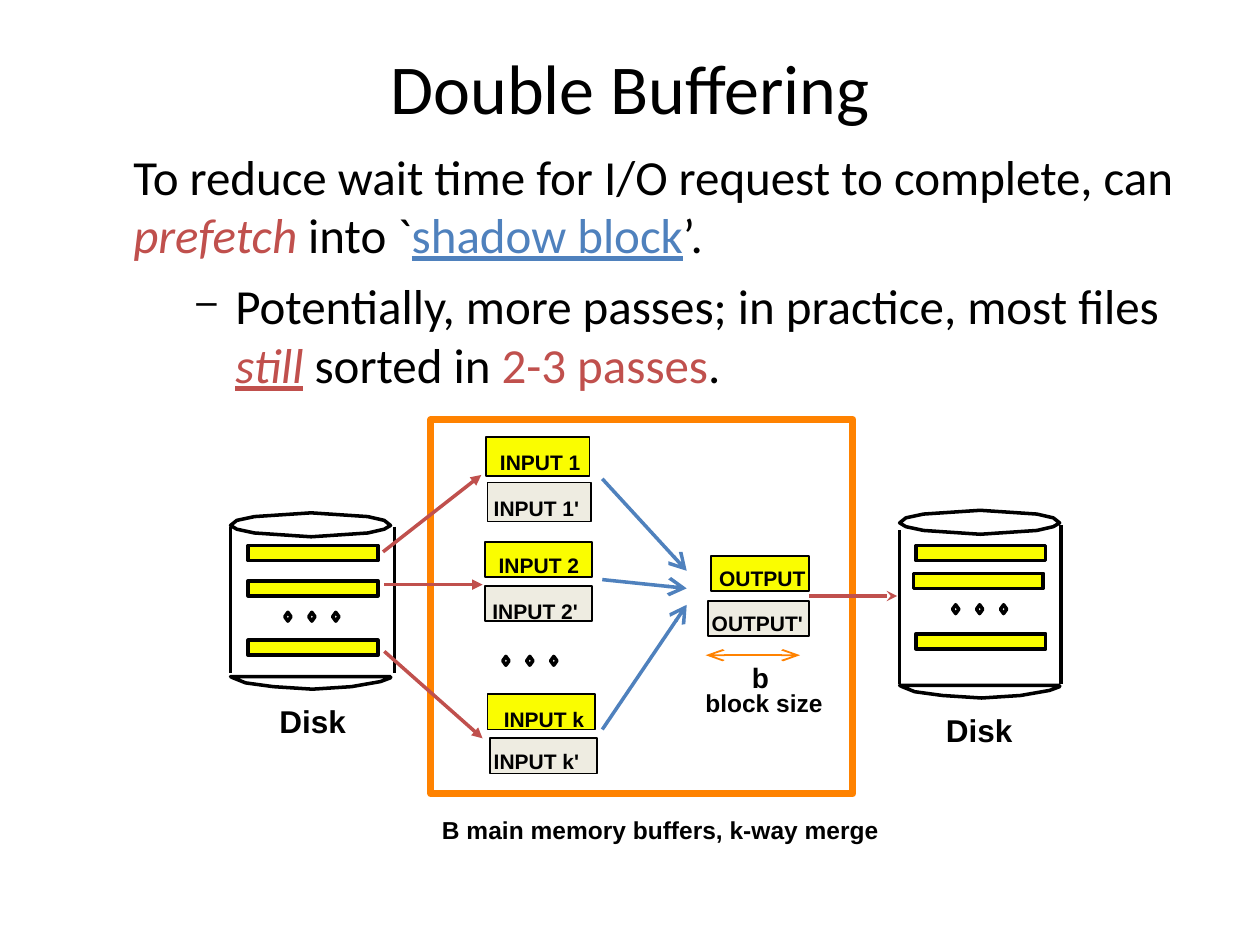
import pptx
import pptx.dml.color
import pptx.enum.shapes
import pptx.enum.text
import pptx.oxml
import pptx.oxml.ns
import pptx.util
from dataclasses import dataclass
from pptx.util import Inches


@dataclass(frozen=True)
class Theme:
    black: str = "000000"
    red: str = "C0504D"
    blue: str = "4F81BD"
    orange: str = "FF8200"
    yellow: str = "FAFD00"
    grey: str = "EEECE1"
    body_font: str = "Calibri"
    label_font: str = "Arial"
    title: int = 40
    body: int = 28
    disk: int = 18
    symbol: int = 16
    note: int = 14
    buffer: int = 12
    thin: int = 1
    medium: int = 2
    thick: int = 4


T = Theme()
RED_ITALIC = {"color": T.red, "italic": True}
TITLE = [("Double Buffering", {})]
INTRO = [
    ("To reduce wait time for I/O request to complete, can ", {}),
    ("prefetch", RED_ITALIC),
    (" into `", {}),
    ("shadow block", {"color": T.blue, "underline": True}),
    ("’.", {}),
]
POINT = [
    ("Potentially, more passes; in practice, most files ", {}),
    ("still", {**RED_ITALIC, "underline": True}),
    (" sorted in ", {}),
    ("2-3 passes", {"color": T.red}),
    (".", {}),
]
FRAME = (3.42, 3.33, 3.35, 2.97)
BUFFERS = [
    ("INPUT 1", T.yellow, (3.86, 3.47, 0.82, 0.31), (3.87, 3.52, 0.84)),
    ("INPUT 1'", T.grey, (3.87, 3.83, 0.82, 0.31), (3.82, 3.88, 0.88)),
    ("INPUT 2", T.yellow, (3.85, 4.3, 0.85, 0.28), (3.86, 4.34, 0.84)),
    ("INPUT 2'", T.grey, (3.85, 4.65, 0.85, 0.28), (3.81, 4.7, 0.88)),
    ("INPUT k", T.yellow, (3.87, 5.51, 0.85, 0.28), (3.9, 5.56, 0.84)),
    ("INPUT k'", T.grey, (3.89, 5.86, 0.85, 0.28), (3.82, 5.89, 0.88)),
    ("OUTPUT", T.yellow, (5.64, 4.41, 0.78, 0.28), (5.61, 4.44, 0.9)),
    ("OUTPUT'", T.grey, (5.62, 4.77, 0.8, 0.28), (5.55, 4.8, 0.95)),
]
LABELS = [
    ("Disk", T.disk, (2.12, 5.52, 0.73, 0.4)),
    ("Disk", T.disk, (7.41, 5.59, 0.73, 0.4)),
    ("b", T.symbol, (5.87, 5.19, 0.33, 0.36)),
    ("block size", T.note, (5.5, 5.41, 1.13, 0.33)),
    ("B main memory buffers, k-way merge", T.note, (3.41, 6.42, 3.67, 0.33)),
]
DISKS = [
    {"left": 1.83, "top": 4.07, "base": 5.37,
     "sides": [(1.83, 4.18, 5.34), (3.13, 4.18, 5.34)],
     "bars": [(1.97, 4.33), (1.97, 4.61), (1.97, 5.08)]},
    {"left": 7.14, "top": 4.05, "base": 5.44,
     "sides": [(7.14, 4.21, 5.43), (8.42, 4.17, 5.43)],
     "bars": [(7.27, 4.33), (7.25, 4.55), (7.27, 5.03)]},
]
BAR_SIZE = (1.03, 0.12)
LID = [(1.27, 0.1), (1.22, 0.06), (1.09, 0.03), (0.64, 0), (0.19, 0.03), (0.05, 0.06),
       (0, 0.1), (0.05, 0.13), (0.19, 0.16), (0.64, 0.19), (1.09, 0.16), (1.22, 0.13)]
BASE = [(0, 0), (0.02, 0.01), (0.12, 0.05), (0.34, 0.08), (0.65, 0.1),
        (0.96, 0.08), (1.19, 0.04), (1.27, 0.01), (1.27, 0)]
ELLIPSES = [(2.26, 4.86), (3.99, 5.21), (7.56, 4.8)]
DOT_SIZE, DOT_STEP = (0.05, 0.07), 0.19
BLUE_TAIL = {"tailEnd": ("arrow", "lg", "lg")}
RED_TAIL = {"tailEnd": ("triangle", "med", "med")}
STEALTH_TAIL = {"tailEnd": ("stealth", "med", "med")}
BOTH_ENDS = {end: ("arrow", "med", "lg") for end in ("headEnd", "tailEnd")}
ARROWS = [
    ((4.78, 3.8, 5.45, 4.53), T.blue, T.medium, BLUE_TAIL),
    ((4.78, 4.6, 5.45, 4.67), T.blue, T.medium, BLUE_TAIL),
    ((4.78, 5.79, 5.45, 4.8), T.blue, T.medium, BLUE_TAIL),
    ((5.6, 5.2, 6.35, 5.2), T.orange, T.thin, BOTH_ENDS),
    ((3.04, 4.38, 3.82, 3.77), T.red, T.medium, RED_TAIL),
    ((3.05, 4.64, 3.83, 4.64), T.red, T.medium, RED_TAIL),
    ((3.05, 5.17, 3.83, 5.86), T.red, T.medium, RED_TAIL),
    ((6.42, 4.73, 7.12, 4.73), T.red, T.medium, STEALTH_TAIL),
]


def rgb(value):
    return pptx.dml.color.RGBColor.from_string(value)


def apply(target, values):
    for name, value in values.items():
        setattr(target, name, value)


def add_xml(parent, tag, **attributes):
    child = parent.makeelement(pptx.oxml.ns.qn(f"a:{tag}"), attributes)
    parent.append(child)
    return child


def write(p, runs, font, size, bold=False):
    for text, style in runs:
        r = p.add_run()
        r.text = text
        values = {"name": font, "size": pptx.util.Pt(size), "bold": bold, **style}
        r.font.color.rgb = rgb(values.pop("color", T.black))
        apply(r.font, values)


def add_text(s, box, **values):
    tf = s.shapes.add_textbox(*map(Inches, box)).text_frame
    apply(tf, values)
    return tf


def add_label(s, text, size, box):
    fit = pptx.enum.text.MSO_AUTO_SIZE.SHAPE_TO_FIT_TEXT
    tf = add_text(s, box, word_wrap=False, auto_size=fit)
    write(tf.paragraphs[0], [(text, {})], T.label_font, size, True)


def paint(sp, line, width, fill=None):
    sp.shadow.inherit = False
    if fill:
        sp.fill.solid()
        sp.fill.fore_color.rgb = rgb(fill)
    else:
        sp.fill.background()
    sp.line.width = pptx.util.Pt(width)
    sp.line.color.rgb = rgb(line)


def add_box(s, kind, box, line, width, fill=None):
    shape_type = getattr(pptx.enum.shapes.MSO_SHAPE, kind)
    paint(s.shapes.add_shape(shape_type, *map(Inches, box)), line, width, fill)


def add_outline(s, left, top, points):
    places = [(Inches(left + x), Inches(top + y)) for x, y in points]
    builder = s.shapes.build_freeform(*places[0])
    builder.add_line_segments(places[1:], close=True)
    paint(builder.convert_to_shape(), T.black, T.medium)


def add_line(s, ends, color, width, heads):
    straight = pptx.enum.shapes.MSO_CONNECTOR.STRAIGHT
    sp = s.shapes.add_connector(straight, *map(Inches, ends))
    sp.line.color.rgb = rgb(color)
    sp.line.width = pptx.util.Pt(width)
    for tag, (kind, breadth, length) in heads.items():
        add_xml(sp.line._get_or_add_ln(), tag, type=kind, w=breadth, len=length)
    add_xml(sp._element.spPr, "effectLst")


def add_disk(s, disk):
    add_outline(s, disk["left"], disk["top"], LID)
    add_outline(s, disk["left"], disk["base"], BASE)
    for x, top, bottom in disk["sides"]:
        add_line(s, (x, top, x, bottom), T.black, T.medium, {})
    for place in disk["bars"]:
        add_box(s, "RECTANGLE", place + BAR_SIZE, T.black, T.medium, T.yellow)


def add_heading(s):
    middle = pptx.enum.text.MSO_ANCHOR.MIDDLE
    tf = add_text(s, (0.5, 0.3, 9, 0.78), word_wrap=True, vertical_anchor=middle)
    p = tf.paragraphs[0]
    p.alignment = pptx.enum.text.PP_ALIGN.CENTER
    write(p, TITLE, T.body_font, T.title)


def add_body(s):
    tf = add_text(s, (0.96, 1.11, 8.5, 2.05), word_wrap=True)
    write(tf.paragraphs[0], INTRO, T.body_font, T.body)
    p = tf.add_paragraph()
    pPr = p._p.get_or_add_pPr()
    apply(p, {"level": 1, "space_before": pptx.util.Pt(7)})
    for name, value in {"marL": Inches(0.81), "indent": Inches(-0.31)}.items():
        pPr.set(name, str(value))
    add_xml(add_xml(pPr, "buClr"), "srgbClr", val=T.black)
    add_xml(pPr, "buSzPct", val="75000")
    add_xml(pPr, "buChar", char="–")
    write(p, POINT, T.body_font, T.body)


def main():
    """Build the double buffering slide."""
    prs = pptx.Presentation()
    apply(prs, {"slide_width": Inches(10), "slide_height": Inches(7.5)})
    s = prs.slides.add_slide(prs.slide_layouts[6])
    add_heading(s)
    add_body(s)
    add_box(s, "RECTANGLE", FRAME, T.orange, T.thick)
    for disk in DISKS:
        add_disk(s, disk)
    for x, y in ELLIPSES:
        for i in range(3):
            add_box(s, "DIAMOND", (x + i * DOT_STEP, y) + DOT_SIZE, T.black, T.medium)
    for text, fill, box, place in BUFFERS:
        add_box(s, "RECTANGLE", box, T.black, T.thin, fill)
        add_label(s, text, T.buffer, place + (0.3,))
    for label in LABELS:
        add_label(s, *label)
    for arrow in ARROWS:
        add_line(s, *arrow)
    prs.save("out.pptx")


if __name__ == "__main__":
    main()
